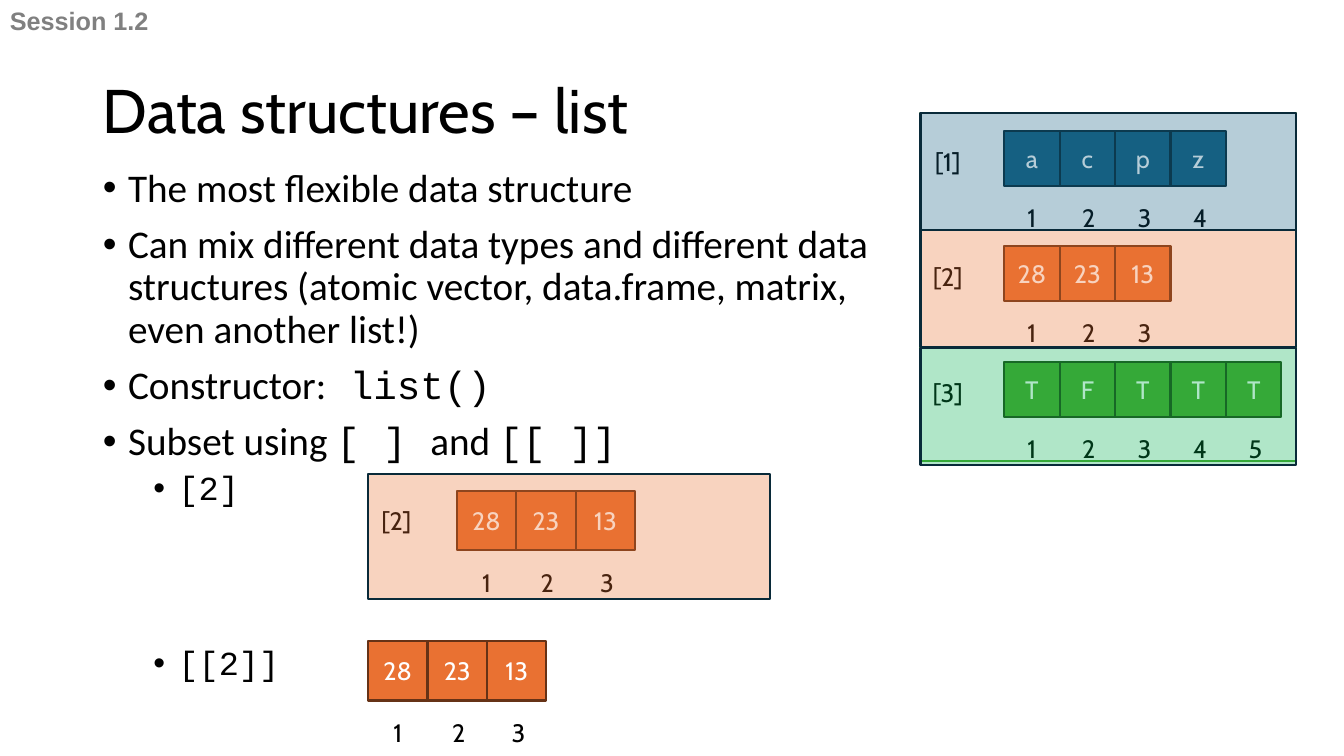
from pptx import Presentation
from pptx.dml.color import RGBColor
from pptx.enum.shapes import MSO_SHAPE
from pptx.enum.text import MSO_ANCHOR, MSO_AUTO_SIZE, PP_ALIGN
from pptx.oxml.ns import qn
from pptx.util import Inches, Pt
from lxml.etree import SubElement

HUES = {
    "black": "000000", "white": "FFFFFF", "gray": "808080",
    "blue": "156082", "navy": "092A39", "orange": "E97132",
    "brown": "663216", "green": "4EA72E", "moss": "224914",
    "mint": "00B050",
}
EDGES = {"blue": "navy", "orange": "brown", "green": "moss"}


def hue(name):
    """Return the colour stored under a name."""
    return RGBColor.from_string(HUES[name])


def write(para, text, size=18, face="Cabin", color="black", bold=False):
    """Add one formatted run to a paragraph."""
    run = para.add_run()
    run.text = text
    font = run.font
    font.size, font.name, font.bold = Pt(size), face, bold
    font.color.rgb = hue(color)


class Board:
    """Holds the style and the current slide."""

    def __init__(self, deck):
        """Start a slide with a title and a body."""
        self.slide = deck.slides.add_slide(deck.slide_layouts[1])
        self.home = self.slide.shapes

    def group(self):
        """Send the next shapes to a new group."""
        self.home = self.slide.shapes.add_group_shape().shapes

    def hold(self, slot, x, y, wide, high, anchor):
        """Place a placeholder and return its text frame."""
        slot.left, slot.top = Inches(x), Inches(y)
        slot.width, slot.height = Inches(wide), Inches(high)
        frame = slot.text_frame
        frame.auto_size = MSO_AUTO_SIZE.NONE
        frame.vertical_anchor = anchor
        return frame

    def title(self, text):
        """Fill the title."""
        frame = self.hold(self.slide.shapes.title, 0.92, 0.4, 11.5, 1.45,
                          MSO_ANCHOR.MIDDLE)
        para = frame.paragraphs[0]
        para.alignment, para.line_spacing = PP_ALIGN.LEFT, 0.9
        write(para, text, size=44)

    def body(self, items):
        """Fill the bullet list from level, gap and runs."""
        frame = self.hold(self.slide.placeholders[1], 0.92, 1.62, 8.07, 5.48,
                          MSO_ANCHOR.TOP)
        for i, (level, gap, runs) in enumerate(items):
            para = frame.add_paragraph() if i else frame.paragraphs[0]
            prop = para._p.get_or_add_pPr()
            prop.set("marL", str(Inches(0.25 + 0.5 * level)))
            prop.set("indent", str(Inches(-0.25)))
            SubElement(prop, qn("a:buFont")).set("typeface", "Arial")
            SubElement(prop, qn("a:buChar")).set("char", "•")
            para.level, para.line_spacing = level, 0.9
            para.space_before = Pt(gap)
            for text, face in runs:
                write(para, text, size=24 if level else 28, face=face)

    def box(self, x, y, wide, high, fill, edge, text="", alpha=None):
        """Draw a rectangle with optional text and opacity."""
        shape = self.home.add_shape(MSO_SHAPE.RECTANGLE, Inches(x), Inches(y),
                                    Inches(wide), Inches(high))
        shape.shadow.inherit = False
        shape.fill.solid()
        shape.fill.fore_color.rgb = hue(fill)
        shape.line.color.rgb = hue(edge)
        shape.line.width = Pt(1.5)
        if alpha:
            tint = shape._element.xpath("./p:spPr/a:solidFill/a:srgbClr")[0]
            SubElement(tint, qn("a:alpha")).set("val", str(alpha * 1000))
        if text:
            frame = shape.text_frame
            frame.margin_left = frame.margin_right = 0
            frame.vertical_anchor = MSO_ANCHOR.MIDDLE
            para = frame.paragraphs[0]
            para.alignment = PP_ALIGN.CENTER
            write(para, text, color="white")

    def label(self, text, x, y, wide, high=0.32, align=PP_ALIGN.CENTER, **style):
        """Add a line of text."""
        shape = self.home.add_textbox(Inches(x), Inches(y), Inches(wide),
                                      Inches(high))
        shape.text_frame.word_wrap = False
        para = shape.text_frame.paragraphs[0]
        para.alignment = align
        write(para, text, **style)

    def row(self, x, y, size, fill, cells):
        """Draw a vector of cells with numbers below."""
        for i, text in enumerate(cells):
            left = x + i * size
            self.box(left, y, size, size, fill, EDGES[fill], text)
            self.label(str(i + 1), left + size / 2 - 0.15, y + 1.2 * size, 0.3)


def main():
    """Build the slide."""
    deck = Presentation()
    deck.slide_width, deck.slide_height = Inches(13.33), Inches(7.5)
    board = Board(deck)
    text, code = "Calibri", "Courier New"
    board.title("Data structures – list")
    board.body([
        (0, 0, [("The most flexible data structure", text)]),
        (0, 10, [("Can mix different data types and different data structures "
                  "(atomic vector, data.frame, matrix, even another list!)",
                  text)]),
        (0, 10, [("Constructor:", text), (" list()", code)]),
        (0, 10, [("Subset using ", text), ("[ ] ", code), ("and ", text),
                 ("[[ ]]", code)]),
        (1, 5, [("[2]", code)]),
        (1, 99, [("[[2]]", code)]),
    ])

    nums = ["28", "23", "13"]
    rows = [
        (1.3, 1.12, "blue", "blue", "acpz"),
        (2.44, 2.28, "orange", "orange", nums),
        (3.59, 3.45, "green", "mint", "TFTTT"),
    ]
    board.group()
    board.box(9.13, 1.12, 3.72, 3.45, "white", "green")
    for i, (y, top, fill, tint, cells) in enumerate(rows, 1):
        board.row(9.96, y, 0.55, fill, cells)
        board.label(f"[{i}]", 9.13, y + 0.1, 0.54)
    for y, top, fill, tint, cells in rows:
        board.box(9.13, top, 3.72, 1.16, tint, "navy", alpha=31)

    board.group()
    board.row(4.53, 4.87, 0.59, "orange", nums)
    board.label("[2]", 3.64, 4.96, 0.58)
    board.box(3.65, 4.7, 3.99, 1.24, "orange", "navy", alpha=31)

    board.group()
    board.row(3.65, 6.36, 0.59, "orange", nums)

    board.home = board.slide.shapes
    board.label("Session 1.2", 0, 0, 2.17, 0.41, PP_ALIGN.LEFT,
                face="Arial", color="gray", bold=True)
    deck.save("out.pptx")


if __name__ == "__main__":
    main()
